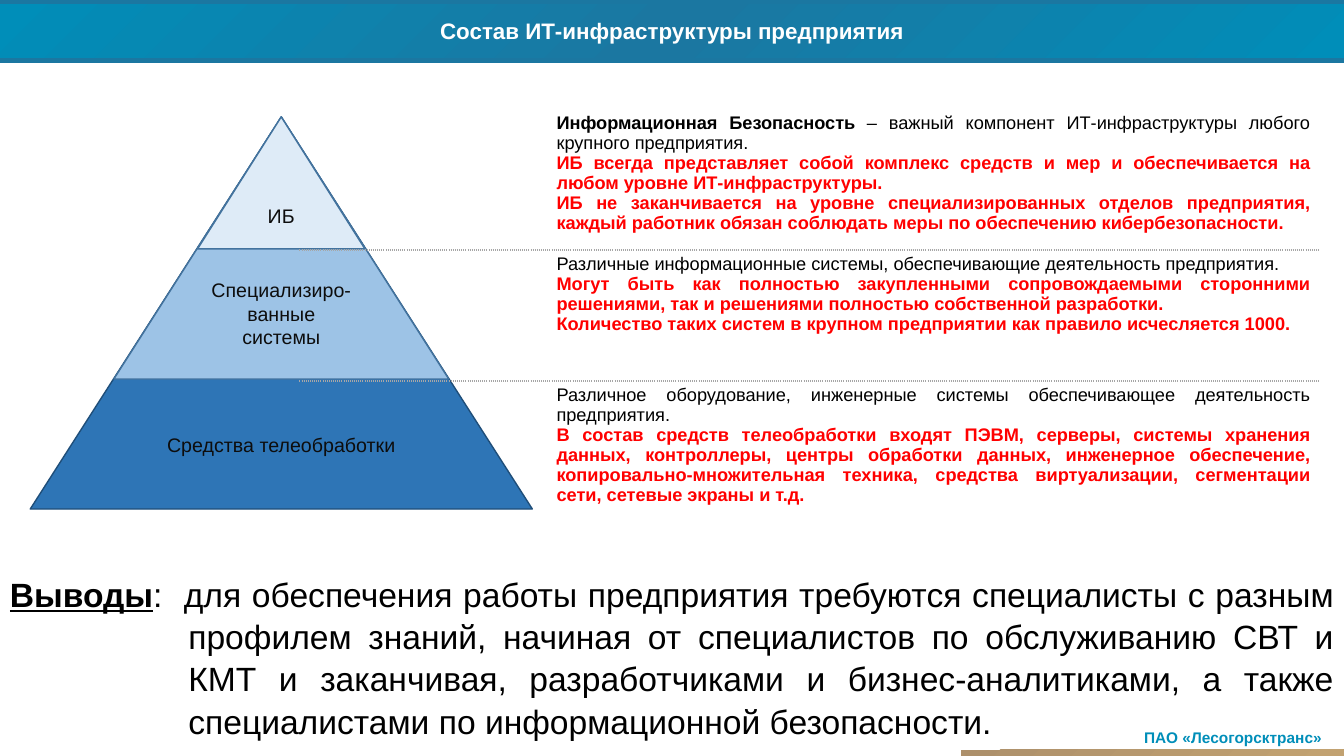
from copy import deepcopy
from dataclasses import dataclass

from lxml import etree
from pptx import Presentation
from pptx.dml.color import RGBColor
from pptx.enum.shapes import MSO_CONNECTOR as CONN, MSO_SHAPE as SHAPE
from pptx.enum.text import MSO_ANCHOR as ANCHOR, PP_ALIGN as ALIGN
from pptx.oxml.ns import qn
from pptx.util import Inches, Pt


@dataclass(frozen=True)
class Theme:
    font: str = "Arial"
    title_size: float = 16
    footer_size: float = 11
    level_size: float = 14
    detail_size: float = 13
    summary_size: float = 24
    white: str = "FFFFFF"
    black: str = "000000"
    label: str = "0D0D0D"
    accent: str = "FF0000"
    brand: str = "008EB9"
    brand_dark: str = "1B77A1"
    sand: str = "AD906B"
    sand_light: str = "C2A271"
    divider: str = "A6A6A6"


T = Theme()
WIDTH, HEIGHT = 13.33, 7.5

# Label, fill, outline, width, height and top inset, from the base up
LEVELS = [
    ("Средства телеобработки", "2E75B6", "1F4E79", 4.98, 3.89, 0.72),
    ("Специализиро-ванные системы", "9DC3E6", "43739E", 3.32, 2.6, 0.05),
    ("ИБ", "DEEBF7", "43739E", 1.66, 1.31, 0.05),
]

# Row height and paragraphs; each paragraph is a list of (text, bold, colour)
DETAILS = [
    (1.4, [
        [("Информационная Безопасность ", True, T.black),
         ("– важный компонент ИТ-инфраструктуры любого крупного предприятия. ", False, T.black)],
        [("ИБ всегда представляет собой комплекс средств и мер и обеспечивается на любом "
          "уровне ИТ-инфраструктуры.", True, T.accent)],
        [("ИБ не заканчивается на уровне специализированных отделов предприятия, каждый "
          "работник обязан соблюдать меры по обеспечению кибербезопасности.", True, T.accent)],
    ]),
    (1.3, [
        [("Различные информационные системы, обеспечивающие деятельность предприятия.",
          False, T.black)],
        [("Могут быть как полностью закупленными сопровождаемыми сторонними решениями, так "
          "и решениями полностью собственной разработки.", True, T.accent)],
        [("Количество таких систем в крупном предприятии как правило исчесляется 1000.",
          True, T.accent)],
    ]),
    (1.56, [
        [("Различное оборудование, инженерные системы обеспечивающее деятельность предприятия.",
          False, T.black)],
        [("В состав средств телеобработки входят ПЭВМ, серверы, системы хранения данных, "
          "контроллеры, центры обработки данных, инженерное обеспечение, "
          "копировально-множительная техника, средства виртуализации, сегментации сети, "
          "сетевые экраны и т.д.", True, T.accent)],
    ]),
]

SUMMARY = (":  для обеспечения работы предприятия требуются специалисты с разным профилем знаний, "
           "начиная от специалистов по обслуживанию СВТ и КМТ и заканчивая, разработчиками и "
           "бизнес-аналитиками, а также специалистами по информационной безопасности.")


def rgb(value):
    return RGBColor.from_string(value)


def add_run(p, text, size, color, bold=False, underline=False):
    r = p.add_run()
    r.text = text
    r.font.name, r.font.size = T.font, Pt(size)
    r.font.bold, r.font.underline = bold, underline
    r.font.color.rgb = rgb(color)


def set_indent(p, left, first=0):
    pPr = p._p.get_or_add_pPr()
    pPr.set("marL", str(Inches(left)))
    pPr.set("indent", str(Inches(first)))


def add_shape(slide, kind, x, y, w, h):
    sp = slide.shapes.add_shape(kind, Inches(x), Inches(y), Inches(w), Inches(h))
    sp.shadow.inherit = False
    sp.line.fill.background()
    return sp


def add_text_box(slide, x, y, w, h):
    tf = slide.shapes.add_textbox(Inches(x), Inches(y), Inches(w), Inches(h)).text_frame
    tf.word_wrap = True
    return tf


def fill_gradient(sp, colors):
    """Spread the colours evenly along the falling diagonal."""
    sp.fill.gradient()
    sp.fill.gradient_angle = 315
    gs_list = sp._element.spPr.find(".//" + qn("a:gsLst"))
    for _ in colors[2:]:
        gs_list.append(deepcopy(gs_list[0]))
    for i, (stop, color) in enumerate(zip(sp.fill.gradient_stops, colors)):
        stop.color.rgb = rgb(color)
        stop.position = i / (len(colors) - 1)


def add_header(slide, x, y, w, h):
    bar = add_shape(slide, SHAPE.ROUNDED_RECTANGLE, x, y, w, h - 0.02)
    bar.adjustments[0] = 0
    fill_gradient(bar, [T.brand, T.brand_dark, T.brand])
    tf = bar.text_frame
    tf.word_wrap = False
    tf.vertical_anchor = ANCHOR.MIDDLE
    p = tf.paragraphs[0]
    p.alignment = ALIGN.CENTER
    add_run(p, "Состав ИТ-инфраструктуры предприятия", T.title_size, T.white, bold=True)
    for edge in (y + h, y):
        rule = slide.shapes.add_connector(
            CONN.STRAIGHT, Inches(x), Inches(edge), Inches(x + w), Inches(edge))
        rule.line.color.rgb = rgb(T.brand_dark)
        rule.line.width = Pt(3)
        etree.SubElement(rule._element.spPr, qn("a:effectLst"))


def add_footer(slide, right, bottom):
    p = add_text_box(slide, right - 2.2, bottom - 0.33, 2.2, 0.29).paragraphs[0]
    p.alignment = ALIGN.CENTER
    add_run(p, "ПАО «Лесогорсктранс»", T.footer_size, T.brand, bold=True)
    strip = add_shape(slide, SHAPE.RECTANGLE, right - 3.8, bottom - 0.06, 3.8, 0.06)
    fill_gradient(strip, [T.sand, T.sand_light])


def add_pyramid(slide, center, top):
    """Stack triangles that share an apex, the widest at the back."""
    for label, fill, outline, w, h, inset in LEVELS:
        sp = add_shape(slide, SHAPE.ISOSCELES_TRIANGLE, center - w / 2, top, w, h)
        sp.fill.solid()
        sp.fill.fore_color.rgb = rgb(fill)
        sp.line.color.rgb = rgb(outline)
        sp.line.width = Pt(1)
        tf = sp.text_frame
        tf.word_wrap = True
        tf.vertical_anchor = ANCHOR.MIDDLE
        tf.margin_top = Inches(inset)
        p = tf.paragraphs[0]
        p.alignment = ALIGN.CENTER
        add_run(p, label, T.level_size, T.label)


def add_dotted_border(cell, side, position):
    ln = etree.Element(qn("a:" + side), w=str(Pt(1)))
    color = etree.SubElement(etree.SubElement(ln, qn("a:solidFill")), qn("a:srgbClr"))
    color.set("val", T.divider)
    etree.SubElement(ln, qn("a:prstDash")).set("val", "sysDot")
    cell._tc.get_or_add_tcPr().insert(position, ln)


def add_details(slide, x, y, w):
    total = sum(height for height, _ in DETAILS)
    table = slide.shapes.add_table(
        len(DETAILS), 1, Inches(x), Inches(y), Inches(w), Inches(total)).table
    table.first_row = table.horz_banding = False
    style_id = table._tbl.tblPr.find(qn("a:tableStyleId"))
    style_id.text = "{2D5ABB26-0587-4C30-8999-92F81FD0307C}"
    for i, (height, paragraphs) in enumerate(DETAILS):
        table.rows[i].height = Inches(height)
        cell = table.cell(i, 0)
        cell.fill.background()
        if i < len(DETAILS) - 1:
            add_dotted_border(cell, "lnB", 0)
        if i > 0:
            add_dotted_border(cell, "lnT", 0)
        tf = cell.text_frame
        for n, runs in enumerate(paragraphs):
            p = tf.add_paragraph() if n else tf.paragraphs[0]
            p.alignment = ALIGN.JUSTIFY
            p.line_spacing = 0.98
            set_indent(p, 2.45)
            for text, bold, color in runs:
                add_run(p, text, T.detail_size, color, bold)


def add_summary(slide, x, y, w, h):
    tf = add_text_box(slide, x, y, w, h)
    tf.vertical_anchor = ANCHOR.MIDDLE
    p = tf.paragraphs[0]
    p.alignment = ALIGN.JUSTIFY
    p.line_spacing = 1.05
    set_indent(p, 1.77, -1.77)
    add_run(p, "Выводы", T.summary_size, T.black, bold=True, underline=True)
    add_run(p, SUMMARY, T.summary_size, T.black)


def main():
    prs = Presentation()
    prs.slide_width, prs.slide_height = Inches(WIDTH), Inches(HEIGHT)
    slide = prs.slides.add_slide(prs.slide_layouts[6])
    add_header(slide, 0, 0.02, WIDTH, 0.58)
    add_footer(slide, WIDTH, HEIGHT)
    add_pyramid(slide, 2.79, 1.16)
    add_details(slide, 2.97, 1.08, 10.12)
    add_summary(slide, 0, 5.65, WIDTH, 1.72)
    prs.save("out.pptx")


if __name__ == "__main__":
    main()
